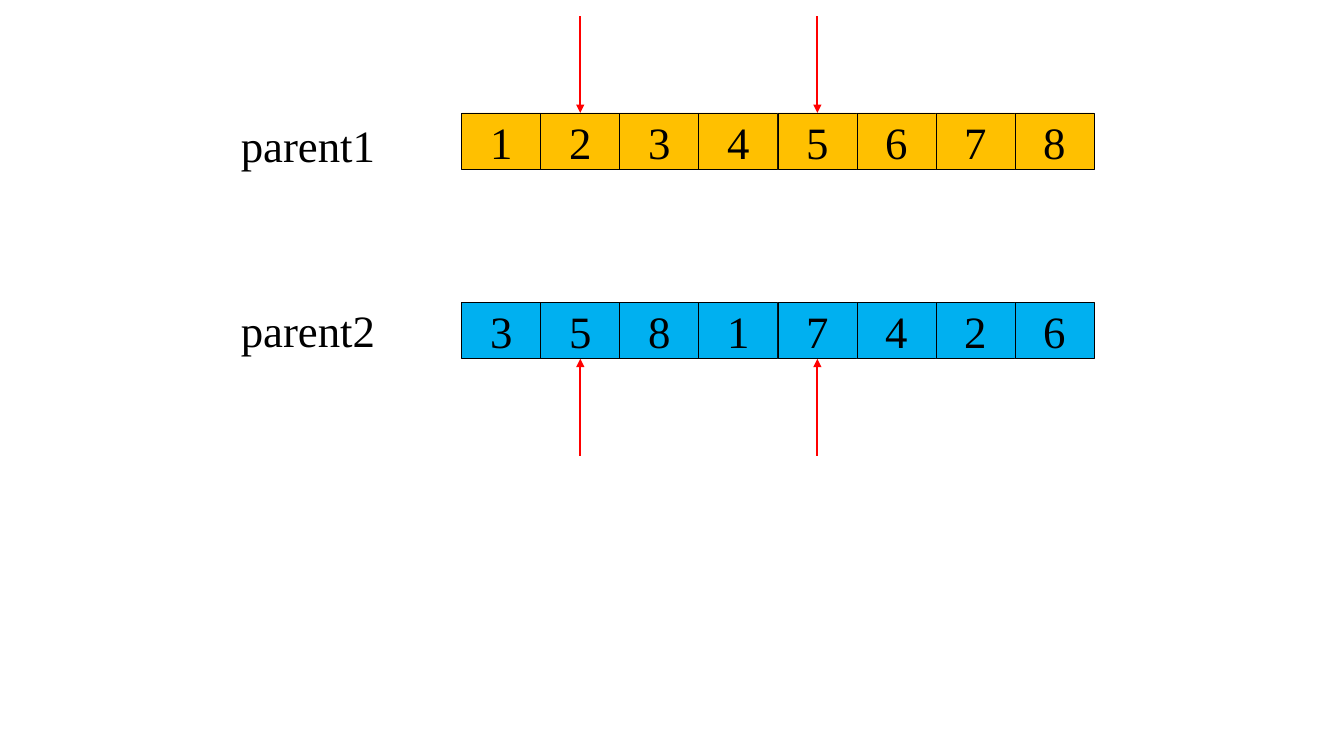
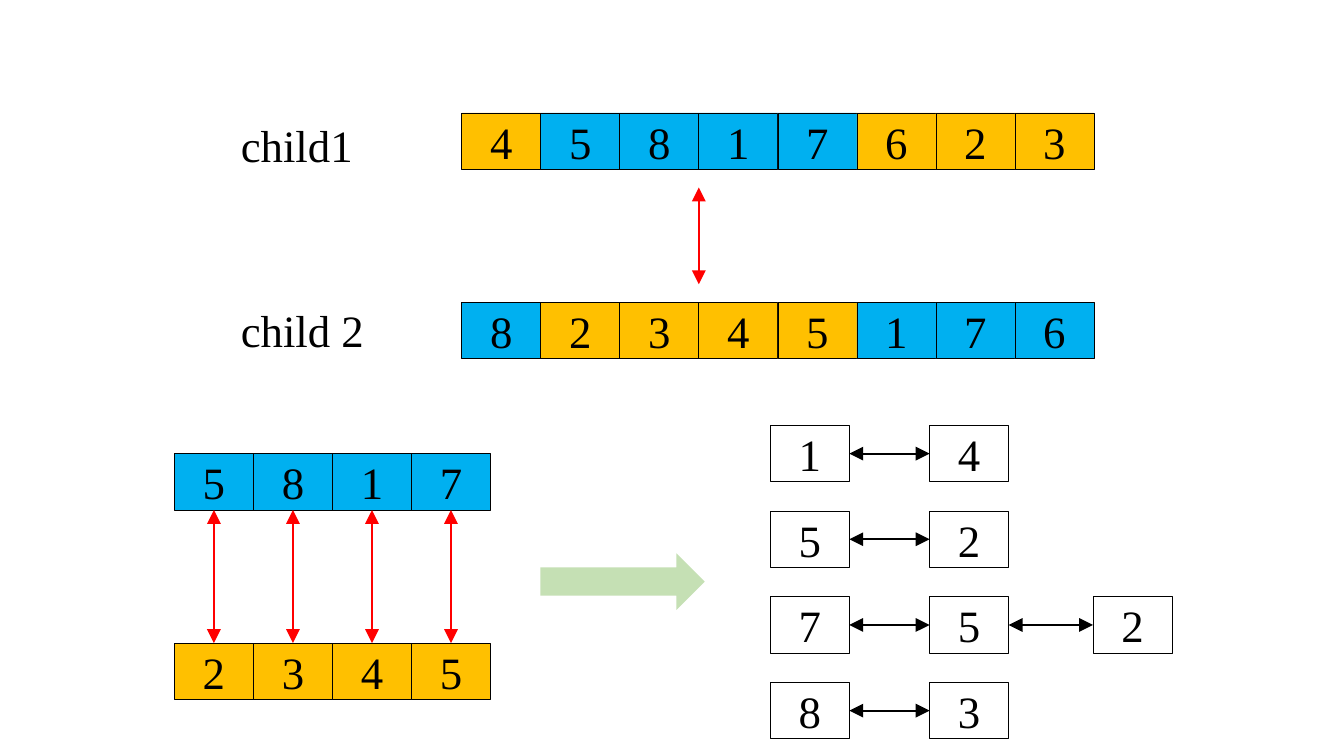
"""Build two slides on partially mapped crossover: parents, then children and the mapping."""
from lxml import etree
from pptx import Presentation
from pptx.dml.color import RGBColor
from pptx.enum.shapes import MSO_CONNECTOR, MSO_SHAPE
from pptx.enum.text import MSO_ANCHOR, MSO_AUTO_SIZE, PP_ALIGN
from pptx.oxml.ns import qn
from pptx.util import Inches, Pt

RECT, RIGHT_ARROW = MSO_SHAPE.RECTANGLE, MSO_SHAPE.RIGHT_ARROW
STRAIGHT = MSO_CONNECTOR.STRAIGHT
MIDDLE, CENTER = MSO_ANCHOR.MIDDLE, PP_ALIGN.CENTER
FIT_SHAPE = MSO_AUTO_SIZE.SHAPE_TO_FIT_TEXT
TOP, LEFT, BOTTOM, RIGHT = range(4)

FONT = "Times New Roman"
BLACK, RED, GREEN = "000000", "FF0000", "C5E0B4"
GENE_FILLS = {"1": "FFC000", "2": "00B0F0"}

# Each row: label, genes, and the parent that each gene comes from
PARENTS = [("parent1", "12345678", "11111111"), ("parent2", "35817426", "22222222")]
CHILDREN = [("child1", "45817623", "12222111"), ("child 2", "82345176", "21111222")]
CUTS = (1, 4)
SEGMENTS = [("5817", "2222"), ("2345", "1111")]
MAPPINGS = ["14", "52", "752", "83"]

CELL_W, CELL_H = Inches(6.27) // 8, Inches(0.56)
ROW_LEFT, ROW_TOPS = Inches(4.58), (Inches(1.12), Inches(3))
LABEL_LEFT, LABEL_TOPS = Inches(2.29), (Inches(1.12), Inches(2.95))
CUT_LENGTH = Inches(0.96)
SEGMENT_LEFT, SEGMENT_TOPS = Inches(1.73), (Inches(4.5), Inches(6.38))
MAP_LEFTS = (Inches(7.64), Inches(9.22), Inches(10.84))
MAP_TOP, MAP_STEP = Inches(4.22), Inches(0.85)


def rgb(value):
    return RGBColor.from_string(value)


def style_text(p):
    p.font.name, p.font.size = FONT, Pt(32)
    p.font.color.rgb = rgb(BLACK)


def add_cell(s, gene, x, y, fill=None):
    sp = s.shapes.add_shape(RECT, x, y, CELL_W, CELL_H)
    sp.shadow.inherit = False
    if fill:
        sp.fill.solid()
        sp.fill.fore_color.rgb = rgb(fill)
    else:
        sp.fill.background()
    sp.line.color.rgb = rgb(BLACK)
    sp.line.width = Pt(0.5)
    tf = sp.text_frame
    tf.vertical_anchor = MIDDLE
    p = tf.paragraphs[0]
    p.text, p.alignment = gene, CENTER
    style_text(p)
    return sp


def add_row(s, genes, origins, x, y):
    return [add_cell(s, gene, x + i * CELL_W, y, GENE_FILLS[origin])
            for i, (gene, origin) in enumerate(zip(genes, origins))]


def add_labelled_rows(s, rows):
    cells = []
    for (label, genes, origins), y, label_y in zip(rows, ROW_TOPS, LABEL_TOPS):
        sp = s.shapes.add_textbox(LABEL_LEFT, label_y, Inches(1.66), Inches(0.64))
        tf = sp.text_frame
        tf.word_wrap, tf.auto_size = False, FIT_SHAPE
        p = tf.paragraphs[0]
        p.text = label
        style_text(p)
        cells.append(add_row(s, genes, origins, ROW_LEFT, y))
    return cells


def add_arrow(s, color, start=(0, 0), end=(0, 0), ends=("head", "tail"), size="lg"):
    line = s.shapes.add_connector(STRAIGHT, *start, *end)
    line.line.color.rgb = rgb(color)
    line.line.width = Pt(1.5)
    for name in ends:
        etree.SubElement(line.line._get_or_add_ln(), qn(f"a:{name}End"),
                         type="triangle", w=size, len=size)
    etree.SubElement(line._element.spPr, qn("a:effectLst"))
    return line


def join_cells(s, color, first, first_side, second, second_side):
    line = add_arrow(s, color)
    line.begin_connect(first, first_side)
    line.end_connect(second, second_side)


def build_parents(s):
    upper, lower = add_labelled_rows(s, PARENTS)
    outer_ends = ((upper, TOP, ROW_TOPS[0] - CUT_LENGTH),
                  (lower, BOTTOM, ROW_TOPS[1] + CELL_H + CUT_LENGTH))
    for row, side, outer_y in outer_ends:
        for cut in CUTS:
            x = row[cut].left + CELL_W // 2
            line = add_arrow(s, RED, (x, outer_y), (x, outer_y), ("tail",), "med")
            line.end_connect(row[cut], side)


def build_children(s):
    add_labelled_rows(s, CHILDREN)
    middle = ROW_LEFT + 3 * CELL_W
    add_arrow(s, RED, (middle, Inches(1.86)), (middle, Inches(2.82)))

    upper, lower = [add_row(s, genes, origins, SEGMENT_LEFT, y)
                    for (genes, origins), y in zip(SEGMENTS, SEGMENT_TOPS)]
    for above, below in zip(upper, lower):
        join_cells(s, RED, above, BOTTOM, below, TOP)

    arrow = s.shapes.add_shape(RIGHT_ARROW, Inches(5.36), Inches(5.49), Inches(1.63), CELL_H)
    arrow.shadow.inherit = False
    arrow.fill.solid()
    arrow.fill.fore_color.rgb = rgb(GREEN)
    arrow.line.fill.background()

    for i, genes in enumerate(MAPPINGS):
        chain = [add_cell(s, gene, x, MAP_TOP + i * MAP_STEP)
                 for gene, x in zip(genes, MAP_LEFTS)]
        for first, second in zip(chain, chain[1:]):
            join_cells(s, BLACK, first, RIGHT, second, LEFT)


def main():
    prs = Presentation()
    prs.slide_width, prs.slide_height = Inches(13.33), Inches(7.5)
    blank = prs.slide_layouts[6]
    for build in (build_parents, build_children):
        build(prs.slides.add_slide(blank))
    prs.save("out.pptx")


if __name__ == "__main__":
    main()
